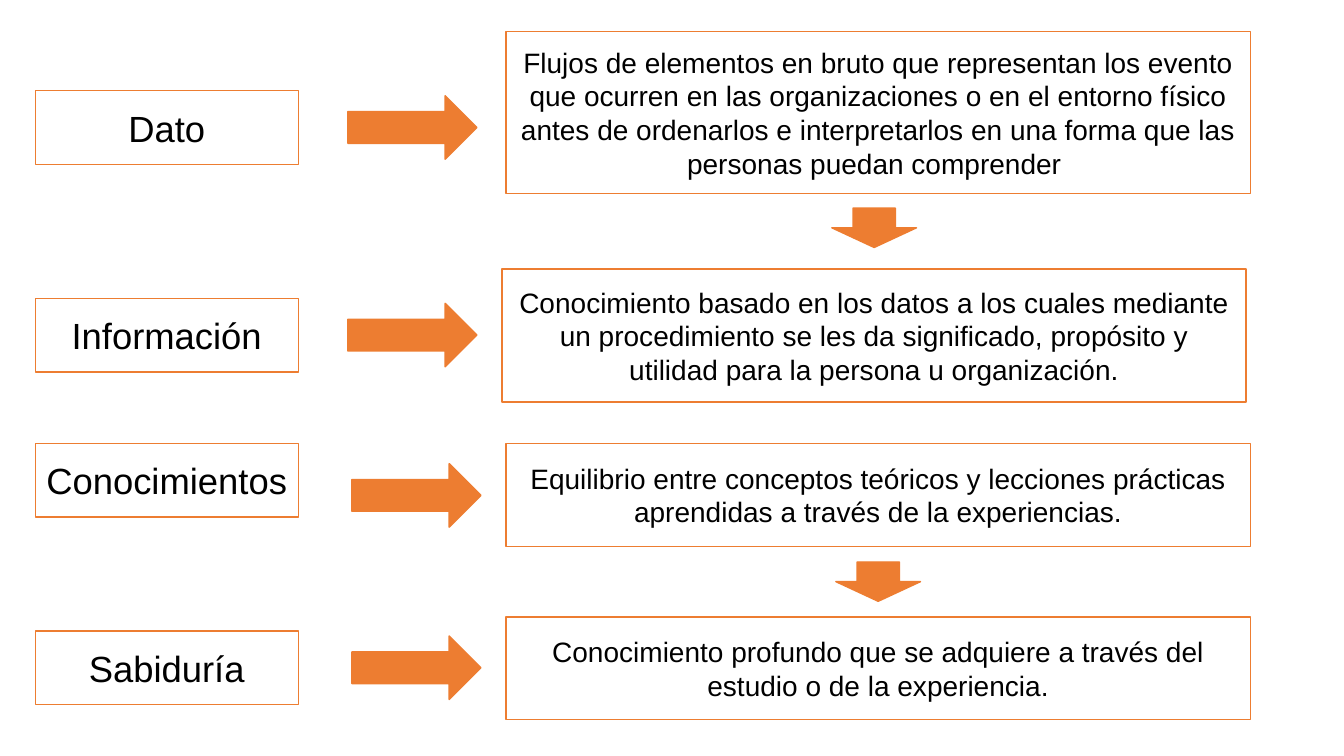
from pptx import Presentation
from pptx.dml.color import RGBColor
from pptx.enum.shapes import MSO_SHAPE as Preset
from pptx.enum.text import MSO_ANCHOR as Anchor, PP_ALIGN as Align
from pptx.util import Inches, Pt

ORANGE = RGBColor(0xED, 0x7D, 0x31)
WHITE = RGBColor(0xFF, 0xFF, 0xFF)
BLACK = RGBColor(0x00, 0x00, 0x00)

TERM_LEFT, TERM_WIDTH, TERM_HEIGHT = 0.35, 2.61, 0.73
ARROW_WIDTH, ARROW_HEIGHT = 1.28, 0.63
LINK_LENGTH, LINK_BREADTH = 0.39, 0.84
DEFINITION_WIDTH = 7.38

ROWS = [
    dict(term="Dato", term_top=0.9, arrow_left=3.45, arrow_top=0.95,
         box=(5.02, 0.31, 1.61),
         definition="Flujos de elementos en bruto que representan los evento que "
                    "ocurren en las organizaciones o en el entorno físico antes de "
                    "ordenarlos e interpretarlos en una forma que las personas "
                    "puedan comprender "),
    dict(term="Información", term_top=2.96, arrow_left=3.45, arrow_top=3.01,
         box=(4.98, 2.67, 1.32), link_middle=2.26,
         definition="Conocimiento basado en los datos a los cuales mediante un "
                    "procedimiento se les da significado, propósito y utilidad "
                    "para la persona u organización."),
    dict(term="Conocimientos", term_top=4.4, arrow_left=3.49, arrow_top=4.6,
         box=(5.02, 4.4, 1.02),
         definition="Equilibrio entre conceptos teóricos y lecciones prácticas "
                    "aprendidas a través de la experiencias."),
    dict(term="Sabiduría", term_top=6.26, arrow_left=3.49, arrow_top=6.31,
         box=(5.02, 6.12, 1.02), link_middle=5.77,
         definition="Conocimiento profundo que se adquiere a través del estudio "
                    "o de la experiencia."),
]


def add_outlined(slide, preset, left, top, width, height, fill):
    """Add a preset shape with an orange outline and no shadow."""
    shape = slide.shapes.add_shape(
        preset, Inches(left), Inches(top), Inches(width), Inches(height))
    shape.shadow.inherit = False
    shape.fill.solid()
    shape.fill.fore_color.rgb = fill
    shape.line.color.rgb = ORANGE
    shape.line.width = Pt(1)
    return shape


def write_text(shape, text, size=20, font="Arial", color=BLACK, align=Align.CENTER):
    """Write one formatted paragraph, centred vertically in the shape."""
    frame = shape.text_frame
    frame.word_wrap = True
    frame.vertical_anchor = Anchor.MIDDLE
    paragraph = frame.paragraphs[0]
    paragraph.alignment = align
    run = paragraph.add_run()
    run.text = text
    run.font.size = Pt(size)
    run.font.name = font
    run.font.color.rgb = color


def add_link(slide, center, middle):
    """Add a downward arrow centred on the given point."""
    link = add_outlined(slide, Preset.RIGHT_ARROW, center - LINK_LENGTH / 2,
                        middle - LINK_BREADTH / 2, LINK_LENGTH, LINK_BREADTH, ORANGE)
    link.rotation = 90


def add_row(slide, term, term_top, arrow_left, arrow_top, box, definition,
            link_middle=None):
    """Add a term, its arrow, its definition and any link from the row above."""
    term_box = add_outlined(slide, Preset.RECTANGLE, TERM_LEFT, term_top,
                            TERM_WIDTH, TERM_HEIGHT, WHITE)
    write_text(term_box, term, size=26)
    add_outlined(slide, Preset.RIGHT_ARROW, arrow_left, arrow_top,
                 ARROW_WIDTH, ARROW_HEIGHT, ORANGE)
    left, top, height = box
    definition_box = add_outlined(slide, Preset.RECTANGLE, left, top,
                                  DEFINITION_WIDTH, height, WHITE)
    write_text(definition_box, definition)
    if link_middle is not None:
        add_link(slide, left + DEFINITION_WIDTH / 2, link_middle)


def main():
    """Build the slide and save it."""
    presentation = Presentation()
    presentation.slide_width = Inches(13.33)
    presentation.slide_height = Inches(7.5)
    slide = presentation.slides.add_slide(presentation.slide_layouts[6])
    for row in ROWS:
        add_row(slide, **row)
    presentation.save("out.pptx")


main()
